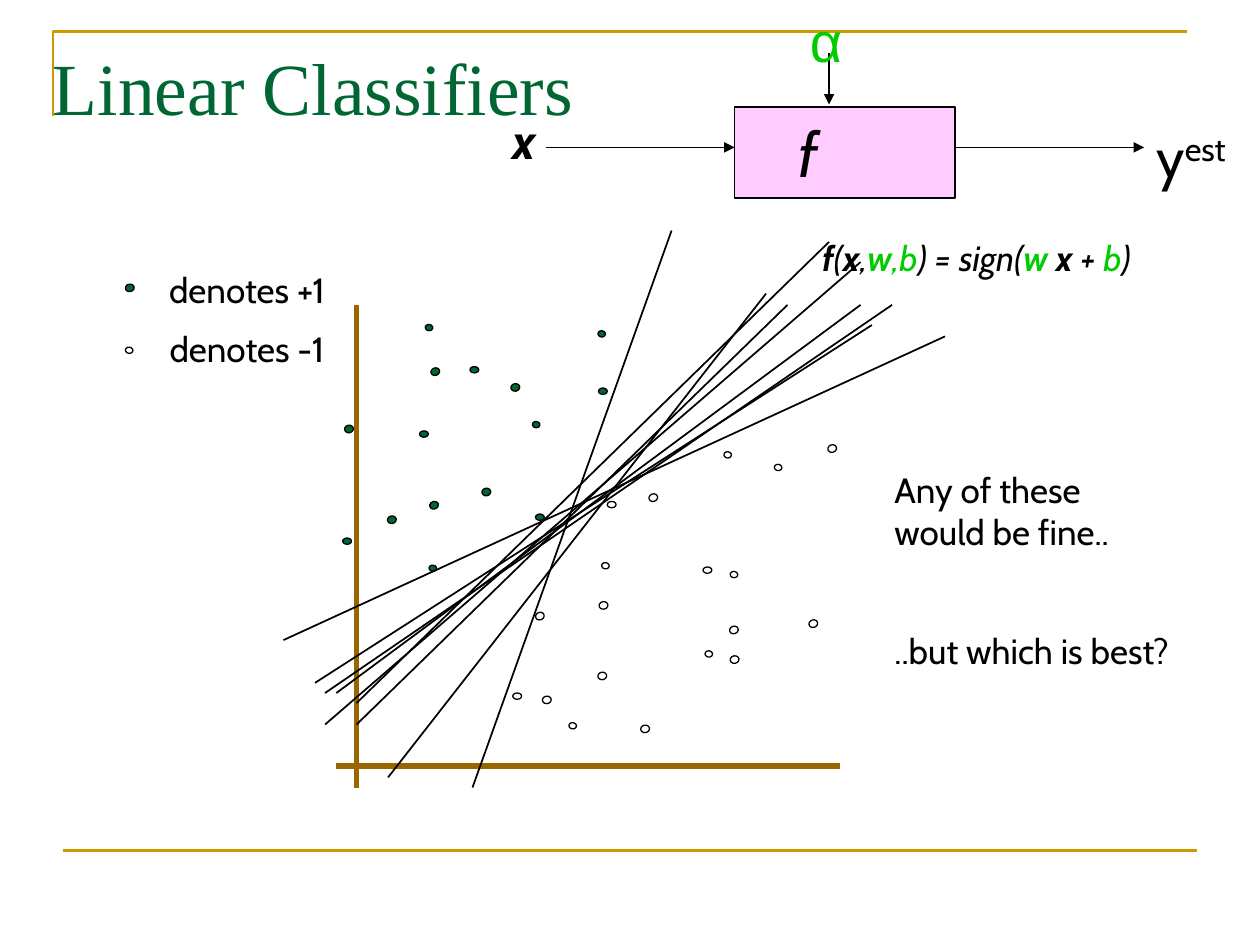
from dataclasses import dataclass

from lxml.etree import SubElement
from pptx import Presentation
from pptx.dml.color import RGBColor
from pptx.enum.shapes import MSO_CONNECTOR as Connector, MSO_SHAPE as Shape
from pptx.enum.text import MSO_ANCHOR as Anchor, MSO_AUTO_SIZE as AutoSize, PP_ALIGN as Align
from pptx.oxml.ns import qn
from pptx.util import Inches, Pt


@dataclass(frozen=True)
class Theme:
    ink: str = "000000"
    paper: str = "FFFFFF"
    green: str = "006633"
    bright: str = "00CC00"
    pink: str = "FFCCFF"
    gold: str = "CC9900"
    brown: str = "996600"
    body_font: str = "Cabin"
    title_font: str = "Times New Roman"
    symbol_font: str = "Arial"
    title: int = 42
    function: int = 36
    symbol: int = 32
    vector: int = 28
    body: int = 20


THEME = Theme()


@dataclass(frozen=True)
class Box:
    left: float
    top: float
    width: float
    height: float

    def inner(self, x, y, width, height):
        return Box(self.left + x, self.top + y, width, height)

    def inches(self):
        return [Inches(v) for v in (self.left, self.top, self.width, self.height)]


# Dots by tilt in degrees: width and height of a dot
DOT_SIZES = {0: (0.07, 0.05), 341.4: (0.07, 0.06), 98.3: (0.05, 0.06), 79.6: (0.06, 0.07)}

# Left and top of each dot within the plot box
POSITIVE = {
    0: [(0.72, 3.27), (2.75, 2.08), (1.73, 1.91), (2.25, 3.08), (1.33, 2.42)],
    341.4: [(1.42, 1.92), (1.41, 2.98)],
    98.3: [(2.23, 2.34), (1.41, 3.48), (2.75, 1.62), (1.38, 1.57)],
    79.6: [(1.83, 2.87), (1.08, 3.09), (2.06, 2.04), (0.74, 2.37)],
}
NEGATIVE = {
    0: [(2.07, 4.5), (2.82, 2.98), (3.58, 3.5)],
    341.4: [(2.25, 3.86), (4.57, 2.53), (3.79, 3.97), (3.15, 2.92), (4.42, 3.92)],
    98.3: [(2.52, 4.73), (3.8, 3.53), (2.78, 3.46), (4.15, 2.68), (3.75, 2.58), (3.6, 4.16)],
    79.6: [(3.09, 4.75), (2.75, 4.33), (2.76, 3.77), (2.31, 4.52), (3.8, 4.2)],
}
# Candidate separators within the plot box: x and y of both ends
SEPARATORS = [
    (1.75, 5.25, 3.33, 0.83), (0.5, 4.42, 4.92, 1.58), (0.83, 4.75, 4.25, 1.42),
    (0.25, 4.08, 5.5, 1.67), (0.67, 4.5, 4.83, 1.42), (0.58, 4.75, 4.83, 1.08),
    (0.83, 4.58, 4.58, 0.92), (1.08, 5.17, 4.08, 1.33), (0.58, 4.5, 5.08, 1.42),
]


def color(value):
    return RGBColor.from_string(value)


def write(frame, *paras, size=THEME.body, font=THEME.body_font, ink=THEME.ink, bold=False,
          italic=False, align=Align.LEFT, anchor=Anchor.TOP, gap=10):
    """Fill a frame; each para is a list of (text, overrides) spans."""
    frame.word_wrap = True
    frame.auto_size = AutoSize.NONE
    frame.vertical_anchor = anchor
    for index, spans in enumerate(paras):
        para = frame.add_paragraph() if index else frame.paragraphs[0]
        para.alignment = align
        para.space_before = Pt(gap if index else 0)
        for text, own in spans:
            span = para.add_run()
            span.text = text
            span.font.name = font
            span.font.size = Pt(size)
            span.font.bold = own.get("bold", bold)
            span.font.italic = italic
            span.font.color.rgb = color(own.get("ink", ink))
            if "raised" in own:
                span.font._element.set("baseline", str(own["raised"] * 1000))


def add_text(page, box, *paras, **style):
    write(page.shapes.add_textbox(*box.inches()).text_frame, *paras, **style)


def add_line(page, box, ends, ink=THEME.ink, weight=1, arrow=False):
    x1, y1, x2, y2 = ends
    line = page.shapes.add_connector(
        Connector.STRAIGHT, Inches(box.left + x1), Inches(box.top + y1),
        Inches(box.left + x2), Inches(box.top + y2))
    line.line.color.rgb = color(ink)
    line.line.width = Pt(weight)
    if arrow:
        SubElement(line.line._get_or_add_ln(), qn("a:tailEnd"), type="triangle")
    SubElement(line._element.spPr, qn("a:effectLst"))


def add_filled(page, kind, box, fill, weight, tilt=0):
    shape = page.shapes.add_shape(kind, *box.inches())
    shape.shadow.inherit = False
    shape.fill.solid()
    shape.fill.fore_color.rgb = color(fill)
    shape.line.color.rgb = color(THEME.ink)
    shape.line.width = Pt(weight)
    shape.rotation = tilt
    return shape


def add_dot(page, box, x, y, tilt, fill):
    add_filled(page, Shape.OVAL, box.inner(x, y, *DOT_SIZES[tilt]), fill, 0.75, tilt)


def draw_frame(page, box):
    # Corner rule above the title
    outline = page.shapes.build_freeform(Inches(box.left), Inches(box.top + 0.67))
    outline.add_line_segments(
        [(Inches(box.left), Inches(box.top)),
         (Inches(box.left + box.width), Inches(box.top))], close=False)
    corner = outline.convert_to_shape()
    corner.shadow.inherit = False
    corner.fill.background()
    corner.line.color.rgb = color(THEME.gold)
    corner.line.width = Pt(1.5)
    # Rule at the foot
    add_line(page, box, (0.08, box.height, box.width + 0.08, box.height), THEME.gold, 1.5)


def draw_title(page, box):
    title = page.shapes.title
    title.left, title.top, title.width, title.height = box.inches()
    title.text_frame.margin_left = Inches(0.25)
    write(title.text_frame, [("Linear Classifiers", {})], size=THEME.title,
          font=THEME.title_font, ink=THEME.green, anchor=Anchor.BOTTOM)


def draw_function(page, box):
    block = add_filled(page, Shape.RECTANGLE, box.inner(2.83, 0.85, 1.75, 0.72), THEME.pink, 1)
    block.text_frame.margin_right = Inches(0.69)
    write(block.text_frame, [("f", {})], size=THEME.function, italic=True,
          align=Align.CENTER, anchor=Anchor.MIDDLE)
    # Input, parameter and output arrows
    for ends in [(1.33, 1.17, 2.83, 1.17), (3.58, 0.42, 3.58, 0.83), (4.58, 1.17, 6.08, 1.17)]:
        add_line(page, box, ends, arrow=True)
    add_text(page, box.inner(0.83, 0.83, 0.67, 0.57), [("x", {})], size=THEME.vector,
             bold=True, italic=True, align=Align.CENTER)
    add_text(page, box.inner(3.33, 0, 0.42, 0.63), [("α", {})], size=THEME.symbol,
             font=THEME.symbol_font, ink=THEME.bright, align=Align.CENTER)
    add_text(page, box.inner(6.08, 0.92, 0.92, 0.63), [("y", {}), ("est", {"raised": 30})],
             size=THEME.symbol)


def draw_legend(page, box):
    add_text(page, box, [("denotes +1", {})], [("denotes -1", {})], align=Align.CENTER)
    add_dot(page, box, 0.08, 0.17, 79.6, THEME.green)
    add_dot(page, box, 0.08, 0.67, 98.3, THEME.paper)


def draw_plot(page, box):
    # Axes
    for ends in [(0.83, 1.42, 0.83, 5.25), (0.67, 5.08, 4.67, 5.08)]:
        add_line(page, box, ends, THEME.brown, 3)
    for dots, fill in ((POSITIVE, THEME.green), (NEGATIVE, THEME.paper)):
        for tilt, places in dots.items():
            for x, y in places:
                add_dot(page, box, x, y, tilt, fill)
    for ends in SEPARATORS:
        add_line(page, box, ends)


def draw_equation(page, box):
    strong, bright = {"bold": True}, {"ink": THEME.bright}
    add_text(page, box, [
        ("f", strong), ("(", {}), ("x", strong), (",", {}), ("w", strong | bright),
        (",b", bright), (") = sign(", {}), ("w", strong | bright), (" x ", strong),
        ("+ ", {}), ("b", bright), (")", {})], italic=True, align=Align.CENTER)


def draw_remarks(page, box):
    add_text(page, box, [("Any of these would be fine..", {})],
             [("..but which is best?", {})], gap=44)


def main():
    deck = Presentation()
    deck.slide_width, deck.slide_height = Inches(10), Inches(7.5)
    page = deck.slides.add_slide(deck.slide_layouts[5])
    draw_frame(page, Box(0.42, 0.25, 9, 6.5))
    draw_title(page, Box(0.17, 0.33, 5.08, 0.75))
    draw_function(page, Box(3, 0, 7, 1.57))
    draw_legend(page, Box(0.92, 2.08, 2.08, 0.93))
    draw_plot(page, Box(2, 1, 5.5, 5.25))
    draw_equation(page, Box(6, 1.83, 3.5, 0.43))
    draw_remarks(page, Box(7, 3.67, 2.42, 2.1))
    deck.save("out.pptx")


if __name__ == "__main__":
    main()
